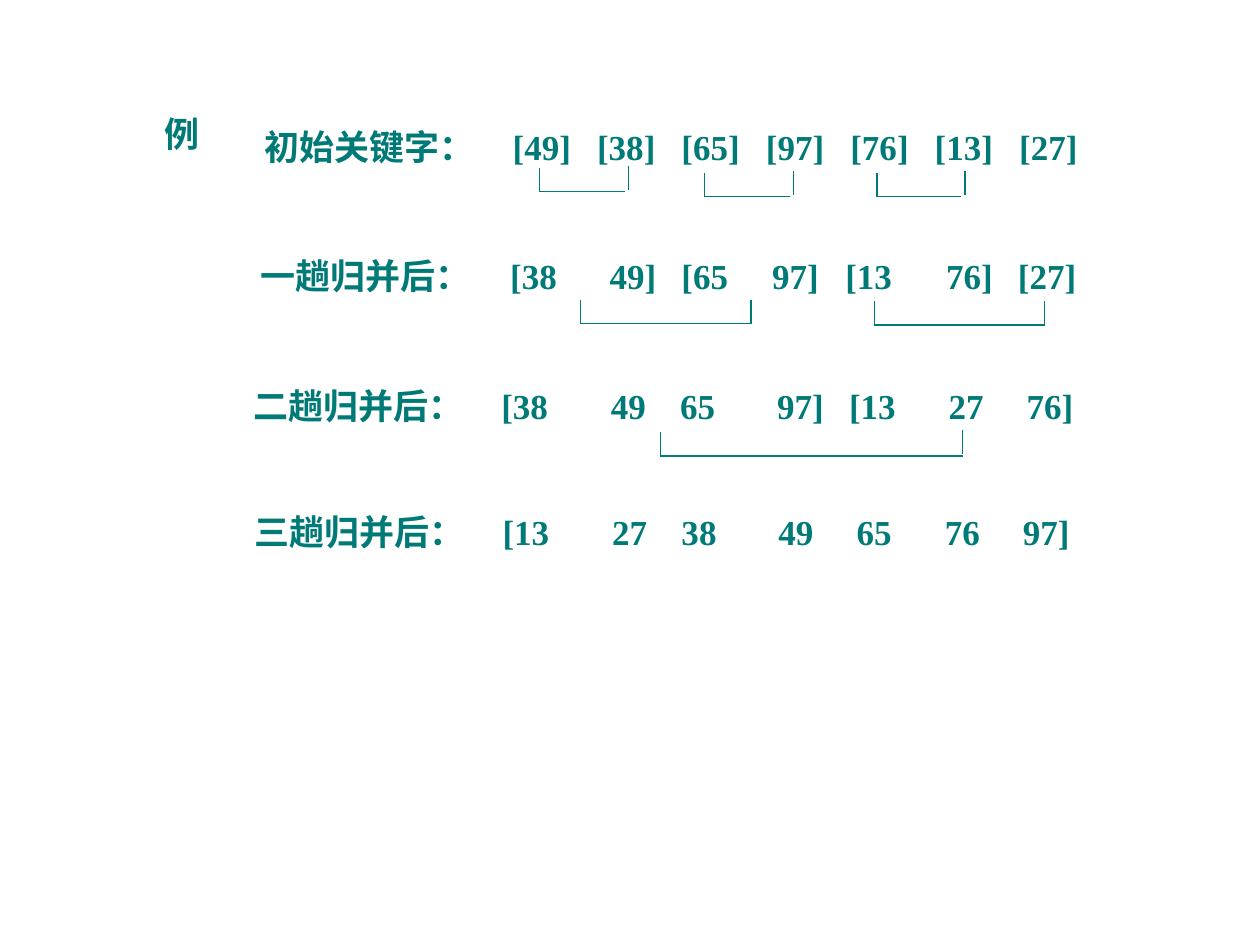
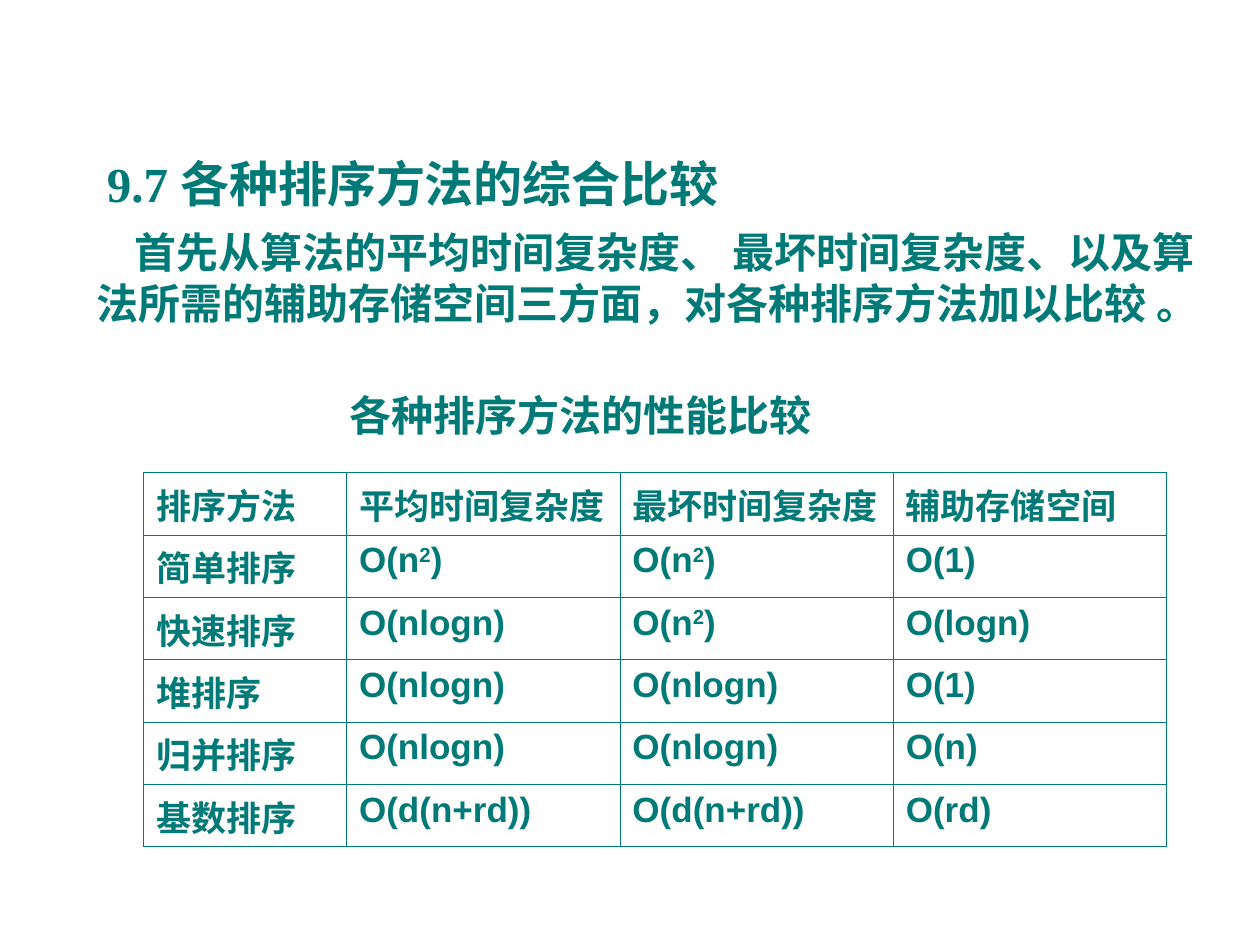
from lxml import etree
from pptx import Presentation
from pptx.dml.color import RGBColor
from pptx.enum.shapes import MSO_CONNECTOR
from pptx.enum.text import PP_ALIGN
from pptx.oxml.ns import qn
from pptx.util import Inches, Pt

COLOURS = {"teal": "007A77"}
TEAL = RGBColor.from_string(COLOURS["teal"])
SERIF, SANS, CHINESE = "Times New Roman", "Arial", "Noto Sans CJK SC"
INSET = 0.1
ARM = 0.19

# label, box left, box top, left edge of each key on the slide
MERGE_ROWS = [
    ("初始关键字：", 2, 0.95, "[49] [38] [65] [97] [76] [13] [27]",
     [4.07 + 0.67 * i for i in range(7)]),
    ("一趟归并后：", 1.97, 1.97, "[38 49] [65 97] [13 76] [27]",
     [4.05, 4.84, 5.41, 6.13, 6.71, 7.51, 8.08]),
    ("二趟归并后：", 1.91, 3, "[38 49 65 97] [13 27 76]",
     [3.98, 4.85, 5.4, 6.17, 6.74, 7.53, 8.15]),
    ("三趟归并后：", 1.92, 4, "[13 27 38 49 65 76 97]",
     [3.99, 4.86, 5.41, 6.18, 6.8, 7.5, 8.12]),
]
# left, right, bottom, gap before the right arm, lift of the right arm
BRACKETS = [
    (4.28, 4.99, 1.52, 0.03, 0.01),
    (5.59, 6.3, 1.56, 0.03, 0.01),
    (6.96, 7.66, 1.56, 0.03, 0.01),
    (4.61, 5.96, 2.57, 0, 0),
    (6.94, 8.29, 2.58, 0, 0),
    (5.24, 7.64, 3.62, 0, 0.02),
]
# ^ switches superscript on and off
COMPARISON = [
    ["排序方法", "平均时间复杂度", "最坏时间复杂度", "辅助存储空间"],
    ["简单排序", "O(n^2^)", "O(n^2^)", "O(1)"],
    ["快速排序", "O(nlogn)", "O(n^2^)", "O(logn)"],
    ["堆排序", "O(nlogn)", "O(nlogn)", "O(1)"],
    ["归并排序", "O(nlogn)", "O(nlogn)", "O(n)"],
    ["基数排序", "O(d(n+rd))", "O(d(n+rd))", "O(rd)"],
]


def write(para, text, size=20, font=SERIF, align=None, indent=0, tabs=()):
    """Write bold teal text; indent and tabs are inches from the text edge."""
    properties = para._p.get_or_add_pPr()
    if indent:
        properties.set("indent", str(Inches(indent)))
    if tabs:
        stops = etree.SubElement(properties, qn("a:tabLst"))
        for tab in tabs:
            etree.SubElement(stops, qn("a:tab"), pos=str(Inches(tab)), algn="l")
    if align is not None:
        para.alignment = align
    for i, part in enumerate(text.split("^")):
        span = para.add_run()
        span.text = part
        span.font.size = Pt(size)
        span.font.bold = True
        span.font.color.rgb = TEAL
        span.font.name = font
        run_properties = span._r.get_or_add_rPr()
        etree.SubElement(run_properties, qn("a:ea"), typeface=CHINESE)
        if i % 2:
            run_properties.set("baseline", "30000")


def add_text(page, text, left, top, width, height, **style):
    box = page.shapes.add_textbox(
        Inches(left), Inches(top), Inches(width), Inches(height))
    box.text_frame.word_wrap = True
    write(box.text_frame.paragraphs[0], text, **style)


def add_line(page, *ends):
    line = page.shapes.add_connector(
        MSO_CONNECTOR.STRAIGHT, *(Inches(end) for end in ends))
    line.line.color.rgb = TEAL
    line.line.width = Pt(0.75)
    etree.SubElement(line._element.spPr, qn("a:effectLst"))


def add_bracket(page, left, right, bottom, gap, lift):
    add_line(page, left, bottom - ARM, left, bottom)
    add_line(page, left, bottom, right - gap, bottom)
    add_line(page, right, bottom - lift, right, bottom - lift - ARM)


def add_merge_row(page, label, left, top, keys, key_lefts):
    add_text(page, "\t".join([label, *keys.split()]), left, top, 6.75, 0.44,
             tabs=[key_left - left - INSET for key_left in key_lefts])


def set_border(cell, side, width):
    line = etree.SubElement(cell._tc.get_or_add_tcPr(), qn(f"a:ln{side}"),
                            w=str(Pt(width)))
    fill = etree.SubElement(line, qn("a:solidFill"))
    etree.SubElement(fill, qn("a:srgbClr"), val=COLOURS["teal"])


def add_grid(page, rows, left, top, widths, height):
    last_row, last_column = len(rows) - 1, len(widths) - 1
    table = page.shapes.add_table(
        len(rows), len(widths), Inches(left), Inches(top),
        Inches(sum(widths)), Inches(height)).table
    table.first_row = table.horz_banding = False
    for column, width in zip(table.columns, widths):
        column.width = Inches(width)
    for r, row in enumerate(rows):
        for c, text in enumerate(row):
            cell = table.cell(r, c)
            write(cell.text_frame.paragraphs[0], text, font=SANS)
            outer = {"L": c == 0, "R": c == last_column,
                     "T": r == 0, "B": r == last_row}
            for side, is_outer in outer.items():
                set_border(cell, side, 1.08 if is_outer else 0.45)
            cell.fill.background()


def build_merge_example(page):
    add_text(page, "例", 1.21, 0.84, 0.5, 0.44)
    for row in MERGE_ROWS:
        add_merge_row(page, *row)
    for bracket in BRACKETS:
        add_bracket(page, *bracket)


def build_comparison(page):
    add_text(page, "9.7 各种排序方法的综合比较", 0.75, 1.17, 8.75, 0.57, size=28)
    add_text(page, "首先从算法的平均时间复杂度、 最坏时间复杂度、以及算法所需的"
             "辅助存储空间三方面，对各种排序方法加以比较 。",
             0.67, 1.75, 9, 0.9, size=24, font=CHINESE, indent=0.3)
    add_grid(page, COMPARISON, 1.14, 3.75, [1.61, 2.17, 2.17, 2.17], 2.97)
    add_text(page, "各种排序方法的性能比较", 0.9, 3.04, 7.42, 0.5,
             size=24, align=PP_ALIGN.CENTER)


def main():
    deck = Presentation()
    deck.slide_width, deck.slide_height = Inches(10), Inches(7.5)
    for build in (build_merge_example, build_comparison):
        build(deck.slides.add_slide(deck.slide_layouts[6]))
    deck.save("out.pptx")


if __name__ == "__main__":
    main()
